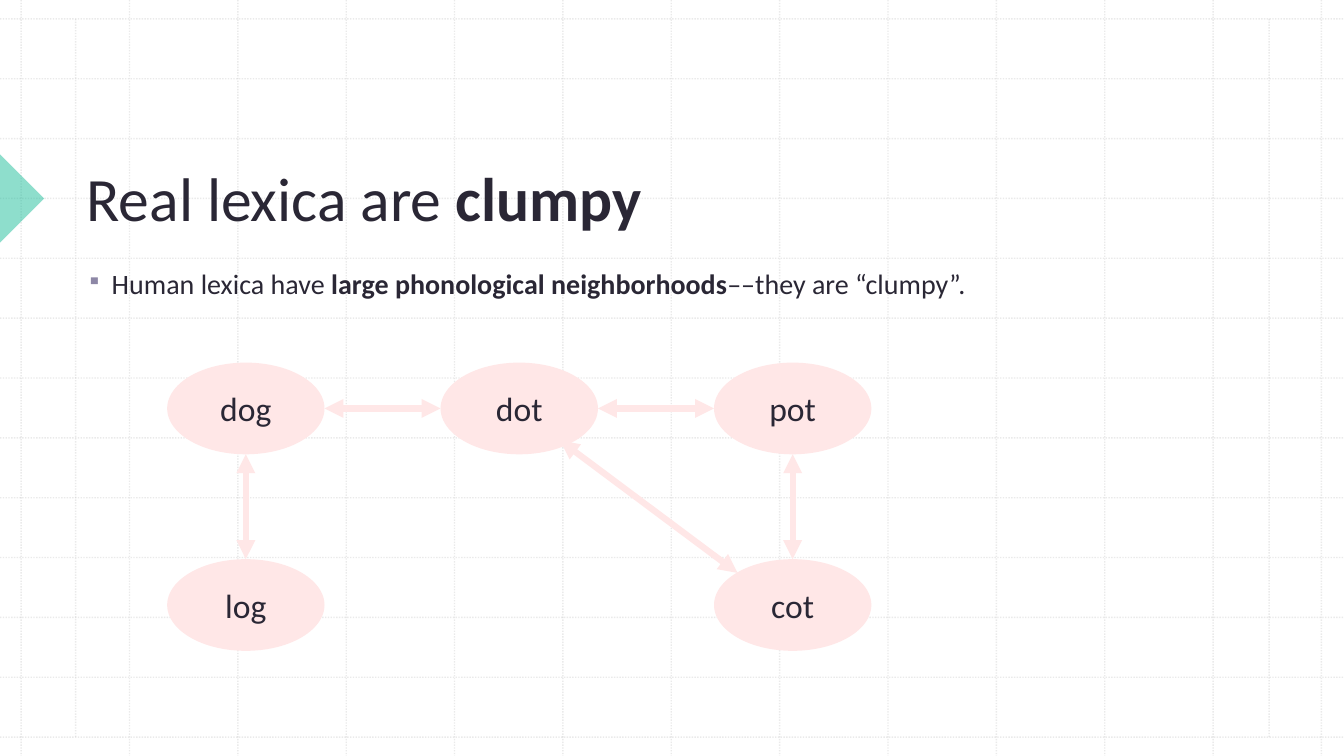
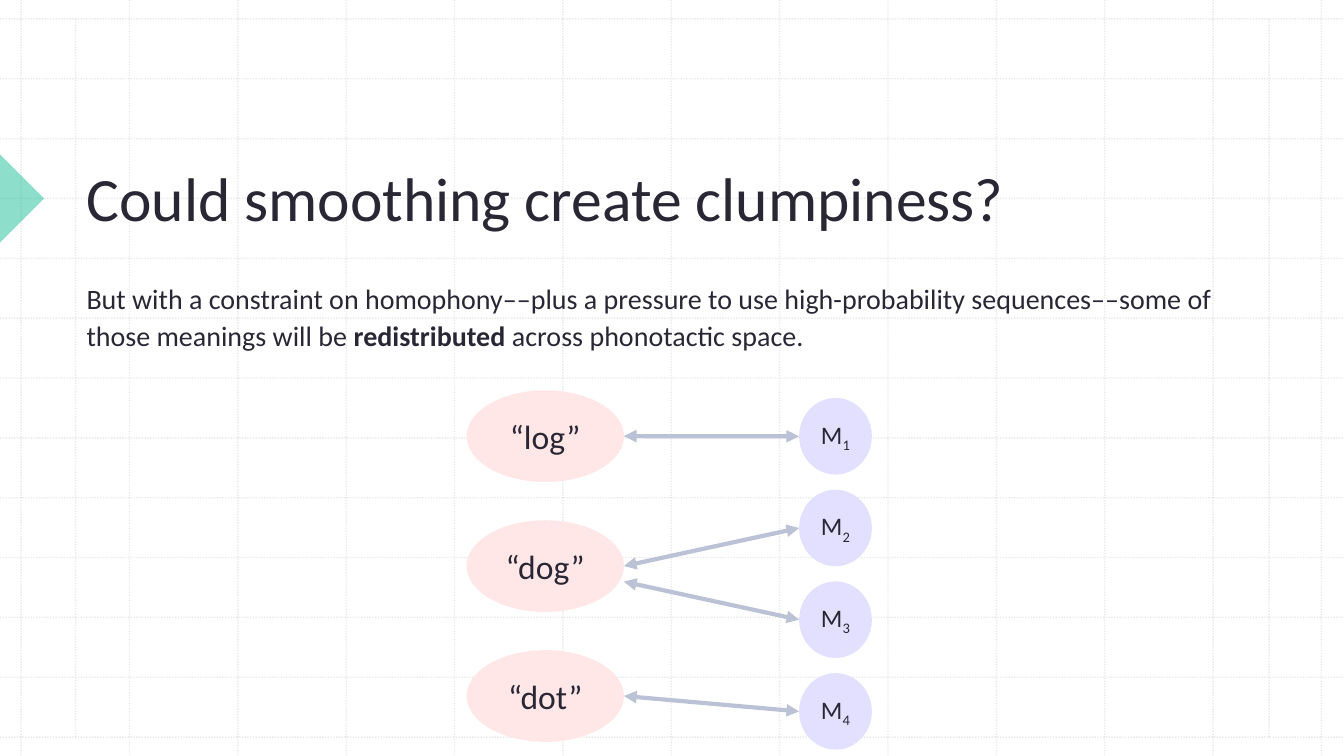
import lxml.etree
import pptx
import pptx.dml.color
import pptx.enum.dml
import pptx.enum.shapes
import pptx.enum.text
import pptx.oxml.ns
import pptx.util

Pt = pptx.util.Pt
qn = pptx.oxml.ns.qn
SHAPES = pptx.enum.shapes.MSO_SHAPE
ANCHORS = pptx.enum.text.MSO_ANCHOR
CENTER = pptx.enum.text.PP_ALIGN.CENTER

COLORS = {
    "ink": "2A2735",
    "grid": "BCBCBC",
    "marker": "1EBE9B",
    "bullet": "8D87A6",
    "word": "FFE7E7",
    "meaning": "E3E0FF",
    "link": "BCC2D6",
}
FONT = "Calibri"
WIDTH, HEIGHT = 960, 540
LEFT = 54.7
WORD_SIZE = (112.4, 65.5)
MEANING_SIZE = (52, 54.7)


def rgb(name):
    return pptx.dml.color.RGBColor.from_string(COLORS[name])


def add_child(parent, tag, **attributes):
    return lxml.etree.SubElement(parent, qn(tag), attributes)


def set_opacity(shape, percent):
    for color in shape.element.spPr.iter(qn("a:srgbClr")):
        add_child(color, "a:alpha", val=str(percent * 1000))


def point_on(shape, across, down):
    return (shape.left.pt + across * shape.width.pt,
            shape.top.pt + down * shape.height.pt)


class Deck:
    def __init__(self):
        self.presentation = pptx.Presentation()
        self.presentation.slide_width = Pt(WIDTH)
        self.presentation.slide_height = Pt(HEIGHT)
        self.slide = None

    def start_slide(self, title_runs, title_width):
        layout = self.presentation.slide_layouts[6]
        self.slide = self.presentation.slides.add_slide(layout)
        self.grid()
        self.marker()
        self.text((LEFT, 57, title_width, 113.6), title_runs, 44,
                  anchor=ANCHORS.BOTTOM)

    def line(self, start, end, color, width):
        connector = self.slide.shapes.add_connector(
            pptx.enum.shapes.MSO_CONNECTOR.STRAIGHT,
            *(Pt(value) for value in (*start, *end)))
        connector.line.color.rgb = rgb(color)
        connector.line.width = Pt(width)
        add_child(connector.element.spPr, "a:effectLst")
        return connector

    def grid(self):
        top, bottom = 13.5, 526.5
        columns = [15.1 + 77.4 * index for index in range(13)]
        rows = [top + 42.75 * index for index in range(13)]
        ends = [((x, 0), (x, HEIGHT)) for x in columns]
        ends += [((0, y), (WIDTH, y)) for y in rows]
        ends += [((x, top), (x, bottom)) for x in (54, 906.5)]
        for start, end in ends:
            connector = self.line(start, end, "grid", 1)
            connector.line.dash_style = pptx.enum.dml.MSO_LINE.ROUND_DOT
            set_opacity(connector, 30)

    def arrow(self, start, end, color, width):
        connector = self.line(start, end, color, width)
        outline = connector.element.spPr.find(qn("a:ln"))
        for tag in ("a:headEnd", "a:tailEnd"):
            add_child(outline, tag, type="triangle")

    def shape(self, kind, box, color):
        shape = self.slide.shapes.add_shape(kind, *(Pt(value) for value in box))
        shape.shadow.inherit = False
        shape.fill.solid()
        shape.fill.fore_color.rgb = rgb(color)
        shape.line.fill.background()
        return shape

    def marker(self):
        shape = self.shape(SHAPES.RIGHT_TRIANGLE, (-22.3, 119.5, 44.6, 44.6), "marker")
        shape.rotation = 225
        set_opacity(shape, 50)

    def add_runs(self, paragraph, runs, size):
        paragraph.font.name = FONT
        paragraph.font.size = Pt(size)
        paragraph.font.color.rgb = rgb("ink")
        for text, style in runs:
            run = paragraph.add_run()
            run.text = text
            if style == "bold":
                run.font.bold = True
            elif style == "subscript":
                run._r.get_or_add_rPr().set("baseline", "-25000")

    def text(self, box, runs, size, anchor=ANCHORS.TOP, spacing=None, bullet=False):
        frame = self.slide.shapes.add_textbox(*(Pt(value) for value in box)).text_frame
        frame.word_wrap = True
        frame.vertical_anchor = anchor
        paragraph = frame.paragraphs[0]
        paragraph.line_spacing = spacing
        if bullet:
            self.bullet(paragraph)
        self.add_runs(paragraph, runs, size)

    def bullet(self, paragraph):
        properties = paragraph._p.get_or_add_pPr()
        properties.set("marL", str(Pt(18)))
        properties.set("indent", str(-Pt(18)))
        color = add_child(properties, "a:buClr")
        add_child(color, "a:srgbClr", val=COLORS["bullet"])
        add_child(properties, "a:buSzPct", val="75000")
        add_child(properties, "a:buChar", char="▪")

    def node(self, position, size, color, runs, font_size):
        shape = self.shape(SHAPES.OVAL, (*position, *size), color)
        frame = shape.text_frame
        frame.margin_left = frame.margin_right = Pt(0)
        frame.vertical_anchor = ANCHORS.MIDDLE
        paragraph = frame.paragraphs[0]
        paragraph.alignment = CENTER
        self.add_runs(paragraph, runs, font_size)
        return shape

    def word(self, position, text):
        return self.node(position, WORD_SIZE, "word", [(text, None)], 24)

    def meaning(self, position, number):
        runs = [("M", None), (str(number), "subscript")]
        return self.node(position, MEANING_SIZE, "meaning", runs, 18)


def build_clumpy_slide(deck):
    deck.start_slide([("Real lexica are ", None), ("clumpy", "bold")], 813)
    deck.text((LEFT, 184.5, 813, 280.8), [
        ("Human lexica have ", None),
        ("large phonological neighborhoods", "bold"),
        ("––they are “clumpy”.", None),
    ], 20, spacing=1.1, bullet=True)

    cells = {"dog": (0, 0), "dot": (1, 0), "pot": (2, 0),
             "cot": (2, 1), "log": (0, 1)}
    words = {text: deck.word((119.4 + 195.3 * column, 259 + 140.4 * row), text)
             for text, (column, row) in cells.items()}

    right, left, bottom, top = (1, 0.5), (0, 0.5), (0.5, 1), (0.5, 0)
    for first, first_spot, second, second_spot in (
            ("dog", right, "dot", left),
            ("dog", bottom, "log", top),
            ("dot", right, "pot", left),
            ("pot", bottom, "cot", top),
            ("dot", (0.76, 0.85), "cot", (0.15, 0.15))):
        deck.arrow(point_on(words[first], *first_spot),
                   point_on(words[second], *second_spot), "word", 4.5)


def build_smoothing_slide(deck):
    deck.start_slide([("Could smoothing create clumpiness?", None)], 851)
    deck.text((LEFT, 195.3, 851, 113.6), [
        ("But with a constraint on homophony––plus a pressure to use "
         "high-probability sequences––some of those meanings will be ", None),
        ("redistributed", "bold"),
        (" across phonotactic space.", None),
    ], 20, spacing=1.1)

    words = [deck.word((333.3, 278.8 + 92.8 * index), text)
             for index, text in enumerate(("“log”", "“dog”", "“dot”"))]
    meanings = [deck.meaning((570.8, 284.3 + 65.5 * index), index + 1)
                for index in range(4)]
    for meaning, (index, down) in zip(
            meanings, ((0, 0.5), (1, 0.5), (1, 0.67), (2, 0.5))):
        deck.arrow(point_on(words[index], 1, down),
                   point_on(meaning, 0, 0.5), "link", 3)


def main():
    deck = Deck()
    build_clumpy_slide(deck)
    build_smoothing_slide(deck)
    deck.presentation.save("out.pptx")


if __name__ == "__main__":
    main()
